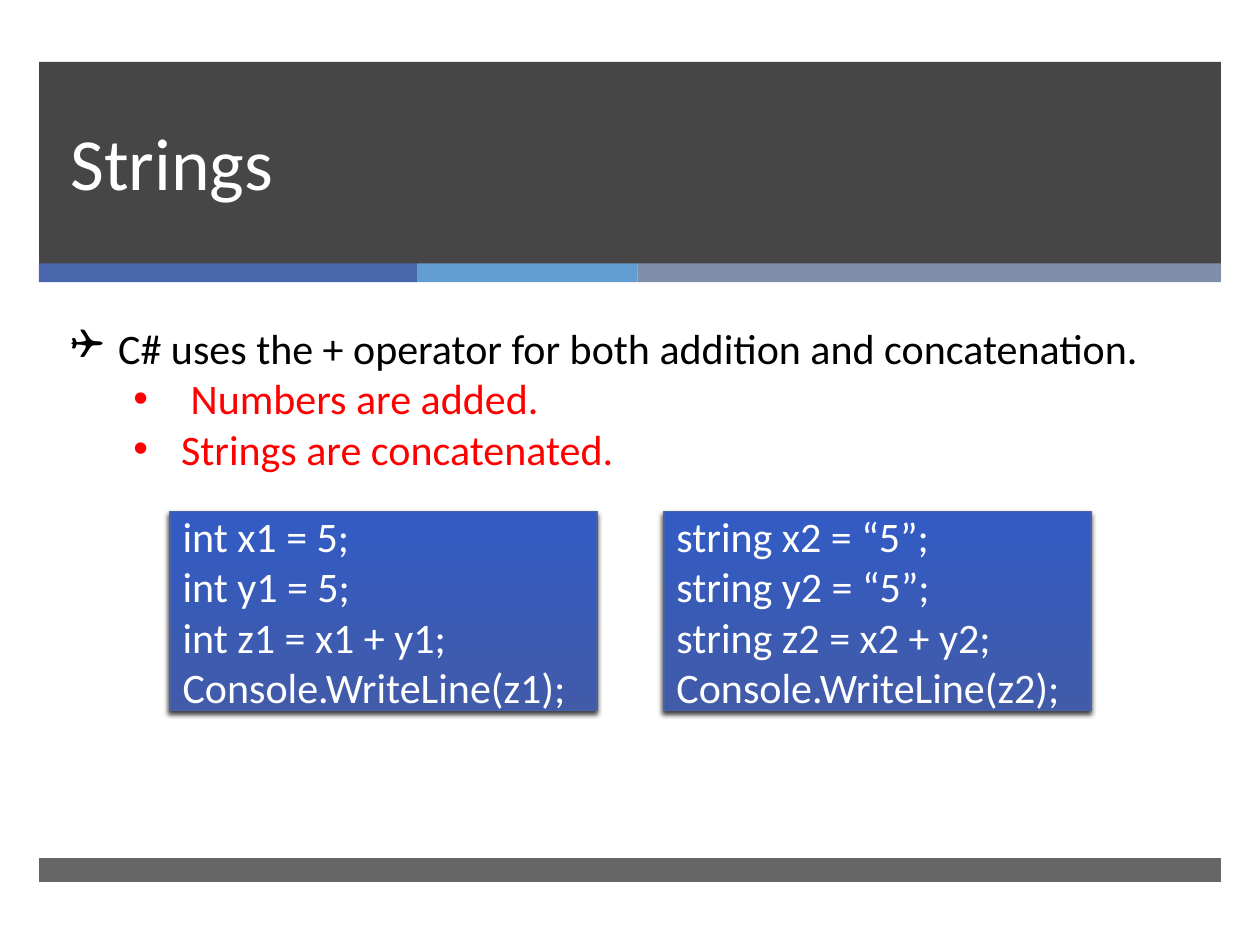
from dataclasses import dataclass

from lxml.etree import SubElement
from pptx import Presentation
from pptx.dml.color import RGBColor as Rgb
from pptx.enum.shapes import MSO_SHAPE as Preset
from pptx.enum.text import MSO_ANCHOR as Anchor, MSO_AUTO_SIZE as AutoSize, PP_ALIGN as Align
from pptx.oxml.ns import qn
from pptx.util import Emu, Inches, Pt


@dataclass(frozen=True)
class Theme:
    """Colours, font and type sizes of the slide."""
    font: str = "Calibri"
    title_size: int = 42
    title_leading: int = 46
    body_size: int = 24
    band: str = "262626"
    stripes: tuple = ("4A66AC", "629DD1", "7F8FA9")
    light: str = "FFFFFF"
    dark: str = "000000"
    accent: str = "FF0000"
    code_bottom: str = "415BA9"
    code_top: str = "325BC4"
    code_line: str = "4663AB"


@dataclass(frozen=True)
class Box:
    """A rectangle in inches that can be cut into parts."""
    left: float
    top: float
    width: float
    height: float

    def emu(self):
        """Return the four lengths for python-pptx."""
        return [Inches(v) for v in (self.left, self.top, self.width, self.height)]

    def columns(self, weights, gap=0):
        """Cut the box into columns of the given weights."""
        unit = (self.width - gap * (len(weights) - 1)) / sum(weights)
        left = self.left
        for weight in weights:
            yield Box(left, self.top, unit * weight, self.height)
            left += unit * weight + gap


THEME = Theme()
HEADER = Box(0.31, 0.49, 9.38, 1.61)
STRIPES = Box(0.31, 2.09, 9.38, 0.15)
FOOTER = Box(0.31, 6.81, 9.38, 0.19)
TITLE = Box(0.46, 0.49, 8.54, 1.19)
BODY = Box(0.46, 2.51, 9.1, 2.12)
CODE = Box(1.35, 4.06, 7.31, 1.58)
CODE_GAP = 0.53

POINTS = (
    (0, "C# uses the + operator for both addition and concatenation."),
    (1, " Numbers are added."),
    (1, "Strings are concatenated."),
)
SNIPPETS = (
    ("int x1 = 5;", "int y1 = 5;", "int z1 = x1 + y1;", "Console.WriteLine(z1);"),
    ("string x2 = “5”;", "string y2 = “5”;", "string z2 = x2 + y2;", "Console.WriteLine(z2);"),
)


def write(paragraph, text, size, color):
    """Add one formatted run to a paragraph."""
    run = paragraph.add_run()
    run.text = text
    run.font.name = THEME.font
    run.font.size = Pt(size)
    run.font.color.rgb = Rgb.from_string(color)


def paragraphs(frame, count):
    """Return the first paragraph of a frame and as many more as needed."""
    return [frame.paragraphs[0]] + [frame.add_paragraph() for _ in range(count - 1)]


def add_bar(slide, box, color, opacity=100):
    """Draw a plain filled bar."""
    shape = slide.shapes.add_shape(Preset.RECTANGLE, *box.emu())
    shape.shadow.inherit = False
    shape.line.fill.background()
    shape.fill.solid()
    shape.fill.fore_color.rgb = Rgb.from_string(color)
    if opacity < 100:
        tint = shape.element.spPr.find(f"{qn('a:solidFill')}/{qn('a:srgbClr')}")
        SubElement(tint, qn("a:alpha"), val=str(opacity * 1000))


def add_frame(slide):
    """Draw the header band, its stripes and the footer band."""
    add_bar(slide, HEADER, THEME.band, 85)
    for box, color in zip(STRIPES.columns((3, 1.75, 4.63)), THEME.stripes):
        add_bar(slide, box, color)
    add_bar(slide, FOOTER, THEME.band, 70)


def place_title(slide, box, text):
    """Move the title placeholder in front of the band and fill it."""
    title = slide.shapes.title
    title.element.getparent().append(title.element)
    title.left, title.top, title.width, title.height = box.emu()
    frame = title.text_frame
    frame.auto_size = AutoSize.NONE
    frame.vertical_anchor = Anchor.BOTTOM
    paragraph = frame.paragraphs[0]
    paragraph.alignment = Align.LEFT
    paragraph.line_spacing = Pt(THEME.title_leading)
    write(paragraph, text, THEME.title_size, THEME.light)


def set_bullet(paragraph, level, color):
    """Give a paragraph a hanging bullet for its level."""
    paragraph.level = level
    properties = paragraph._p.get_or_add_pPr()
    properties.set("marL", str(Inches(0.38 + 0.5 * level)))
    properties.set("indent", str(-Inches(0.38)))
    SubElement(SubElement(properties, qn("a:buClr")), qn("a:srgbClr"), val=color)
    SubElement(properties, qn("a:buFont"), typeface="Arial" if level else "Wingdings")
    SubElement(properties, qn("a:buChar"), char="•" if level else "❑")


def add_points(slide, box, points):
    """Write the bulleted statements."""
    frame = slide.shapes.add_textbox(*box.emu()).text_frame
    frame.word_wrap = True
    for paragraph, (level, text) in zip(paragraphs(frame, len(points)), points):
        color = THEME.accent if level else THEME.dark
        paragraph.alignment = Align.JUSTIFY
        set_bullet(paragraph, level, color)
        write(paragraph, text, THEME.body_size, color)


def add_shadow(shape):
    """Give a shape a soft shadow below it."""
    shape.shadow.inherit = False
    effects = shape.element.spPr.find(qn("a:effectLst"))
    shadow = SubElement(effects, qn("a:outerShdw"), blurRad=str(Pt(3)), dist=str(Pt(2)),
                        dir=str(110 * 60000), rotWithShape="0")
    tint = SubElement(shadow, qn("a:srgbClr"), val=THEME.dark)
    SubElement(tint, qn("a:alpha"), val="75000")


def add_code(slide, box, lines):
    """Draw one code panel."""
    shape = slide.shapes.add_shape(Preset.RECTANGLE, *box.emu())
    shape.fill.gradient()
    shape.fill.gradient_angle = 90
    for stop, color in zip(shape.fill.gradient_stops, (THEME.code_bottom, THEME.code_top)):
        stop.color.rgb = Rgb.from_string(color)
    shape.line.color.rgb = Rgb.from_string(THEME.code_line)
    shape.line.width = Pt(1)
    add_shadow(shape)
    frame = shape.text_frame
    frame.word_wrap = True
    frame.vertical_anchor = Anchor.MIDDLE
    for paragraph, line in zip(paragraphs(frame, len(lines)), lines):
        paragraph.alignment = Align.JUSTIFY
        write(paragraph, line, THEME.body_size, THEME.light)


def main():
    """Build and save the slide."""
    presentation = Presentation()
    presentation.slide_width, presentation.slide_height = Emu(Inches(10)), Emu(Inches(7.5))
    slide = presentation.slides.add_slide(presentation.slide_layouts.get_by_name("Title Only"))
    add_frame(slide)
    place_title(slide, TITLE, "Strings")
    add_points(slide, BODY, POINTS)
    for box, lines in zip(CODE.columns((1, 1), CODE_GAP), SNIPPETS):
        add_code(slide, box, lines)
    presentation.save("out.pptx")


if __name__ == "__main__":
    main()
